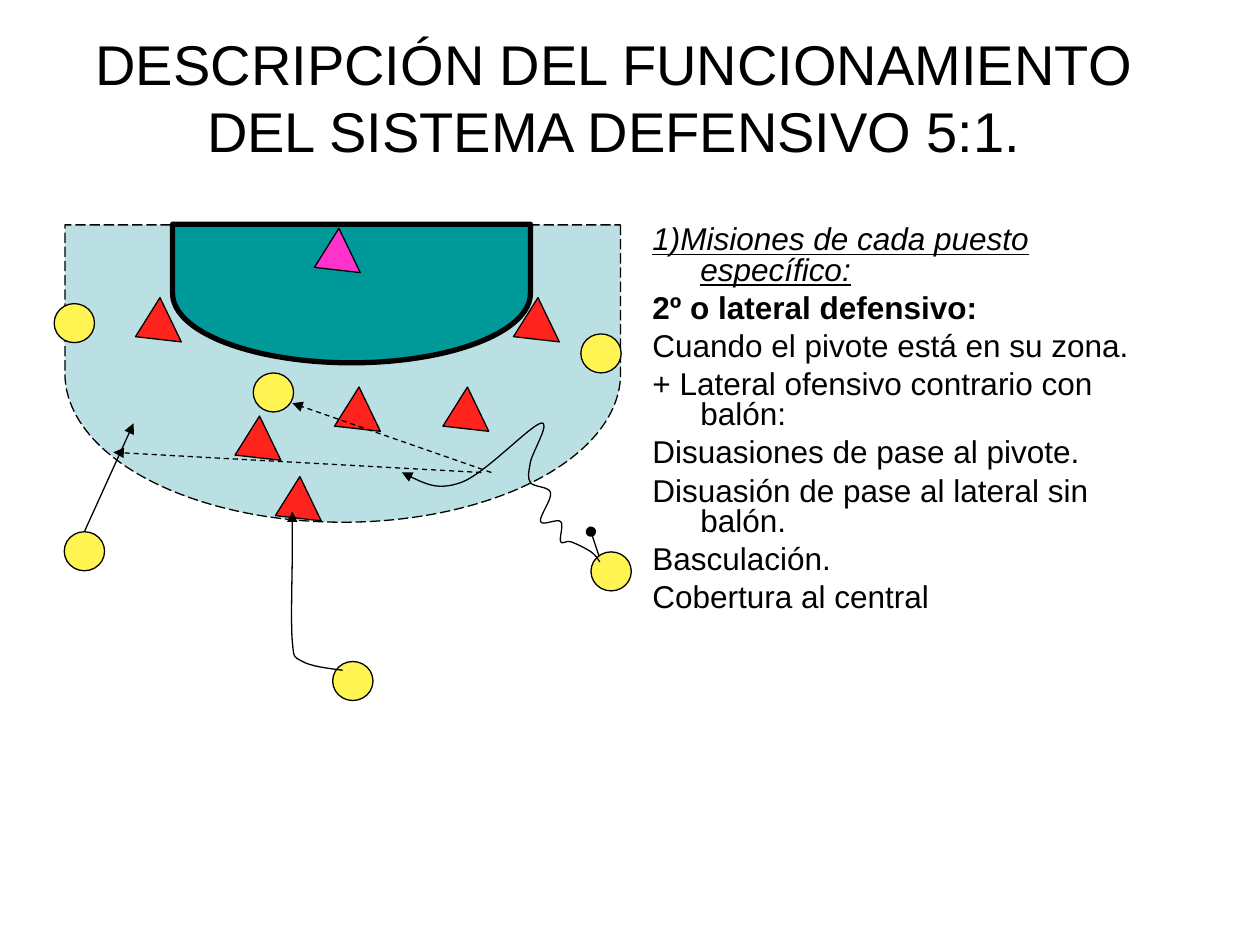
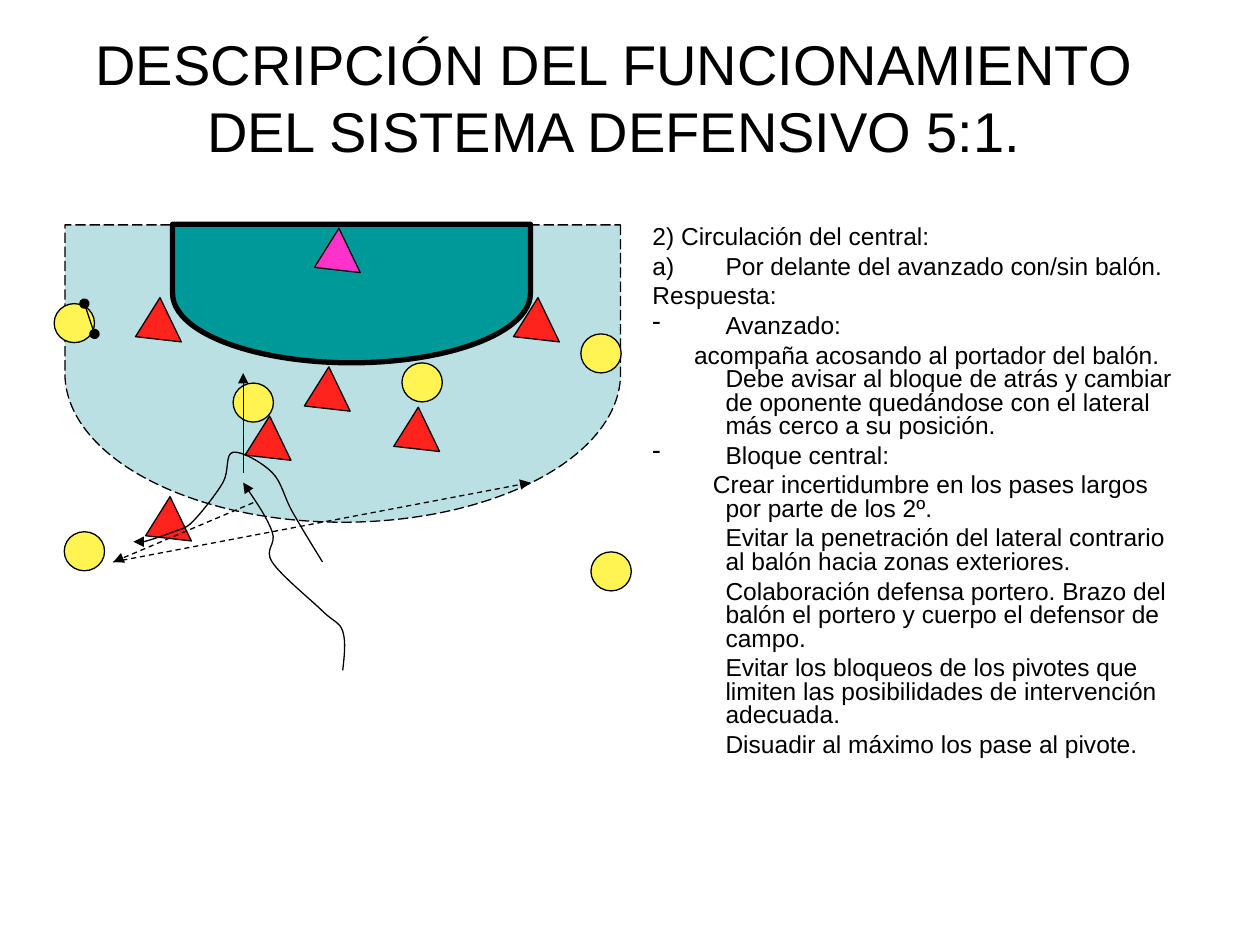
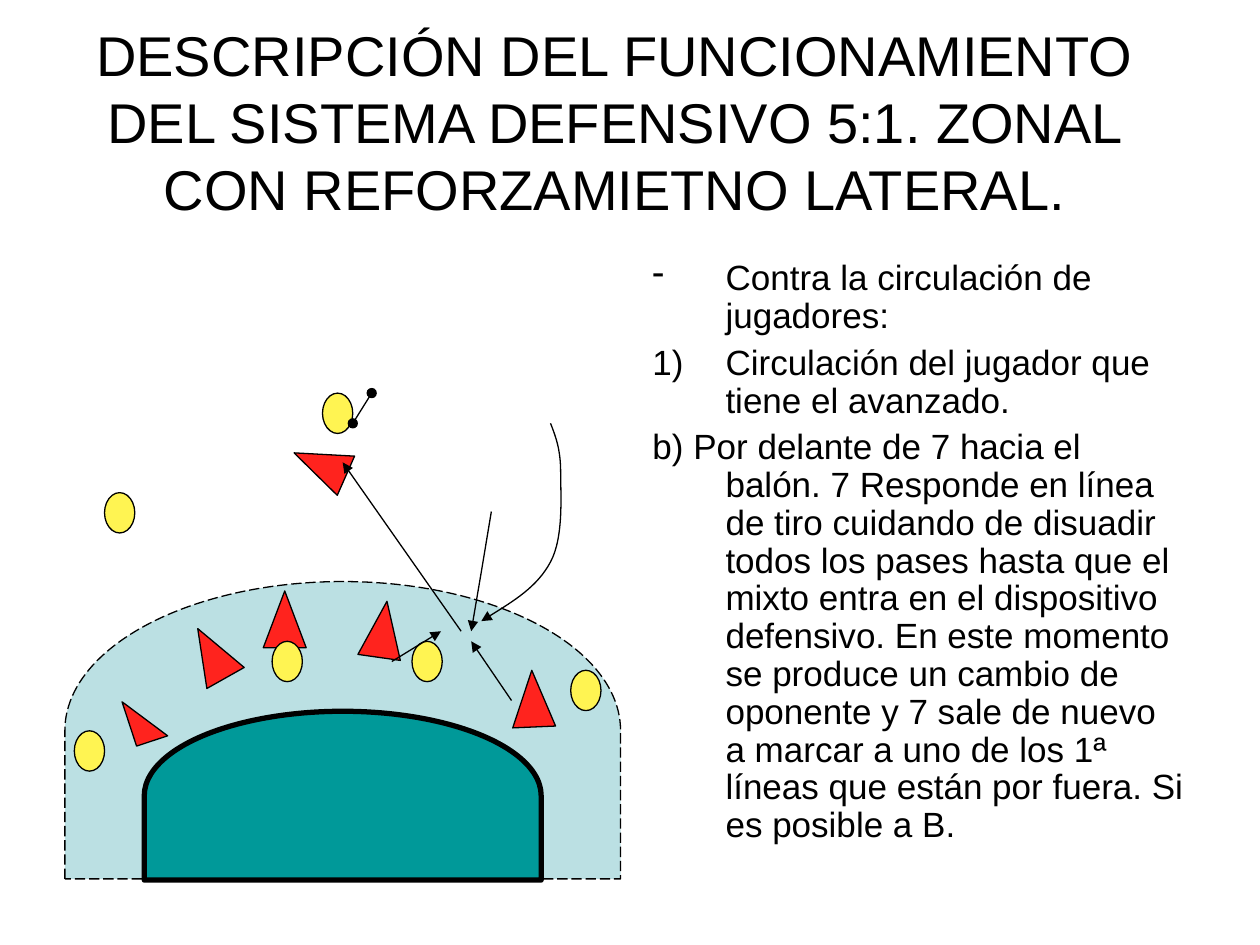
import pptx
import pptx.dml.color
import pptx.enum.dml
import pptx.enum.shapes
import pptx.enum.text
import pptx.oxml
import pptx.oxml.ns
import pptx.util
from lxml import etree

Inches = pptx.util.Inches
Pt = pptx.util.Pt
RGB = pptx.dml.color.RGBColor
Shape = pptx.enum.shapes.MSO_SHAPE
Dash = pptx.enum.dml.MSO_LINE
qn = pptx.oxml.ns.qn

BLACK = RGB(0x00, 0x00, 0x00)
PALE = RGB(0xBB, 0xE0, 0xE3)
TEAL = RGB(0x00, 0x99, 0x99)
RED = RGB(0xFF, 0x23, 0x1E)
PINK = RGB(0xFF, 0x33, 0xCC)
YELLOW = RGB(0xFF, 0xF4, 0x52)

FONT = {"name": "Arial"}
HEAD = "DESCRIPCIÓN DEL FUNCIONAMIENTO DEL SISTEMA DEFENSIVO 5:1."
TURN = 244.3


def put(obj, **vals):
    for key, val in vals.items():
        setattr(obj, key, val)


def ink(run, **vals):
    put(run.font, **FONT, **vals)
    run.font.color.rgb = BLACK


def start(deck, text, x=0.5, w=8.75, h=0.93):
    """Add a slide with its title in place."""
    slide = deck.slides.add_slide(deck.slide_layouts[5])
    title = slide.shapes.title
    put(title, left=Inches(x), top=Inches(0.3), width=Inches(w), height=Inches(h))
    frame = title.text_frame
    frame.text = text
    put(frame, word_wrap=True, auto_size=pptx.enum.text.MSO_AUTO_SIZE.NONE,
        vertical_anchor=pptx.enum.text.MSO_ANCHOR.MIDDLE)
    para = frame.paragraphs[0]
    para.alignment = pptx.enum.text.PP_ALIGN.CENTER
    ink(para.runs[0], size=Pt(32))
    return slide


def bullet(props, mark):
    """Give a paragraph a dash, or a number of the named scheme."""
    if mark == "-":
        etree.SubElement(props, qn("a:buChar")).set("char", mark)
    elif mark:
        etree.SubElement(props, qn("a:buAutoNum")).set("type", mark)
    else:
        etree.SubElement(props, qn("a:buNone"))


def notes(slide, box, rows, size, left, pitch, gap):
    """Write rows of (text, format); first is the first-line indent."""
    area = slide.shapes.add_textbox(*map(Inches, box))
    frame = area.text_frame
    frame.word_wrap = True
    for i, (text, form) in enumerate(rows):
        form = dict(form)
        para = frame.paragraphs[0] if i == 0 else frame.add_paragraph()
        props = para._p.get_or_add_pPr()
        props.set("marL", str(Inches(left)))
        props.set("indent", str(Inches(form.pop("first", -left))))
        bullet(props, form.pop("mark", None))
        put(para, line_spacing=pitch, space_before=Pt(gap if i else 0))
        run = para.add_run()
        run.text = text
        ink(run, size=Pt(size), **form)


def stroke(item, width=0.75, dash=None, head=None, tail=None):
    put(item.line, width=Pt(width), dash_style=dash)
    item.line.color.rgb = BLACK
    line = item.element.spPr.find(qn("a:ln"))
    for tag, kind in (("a:headEnd", head), ("a:tailEnd", tail)):
        if kind:
            etree.SubElement(line, qn(tag)).set("type", kind)


def form(slide, kind, box, fill, turn=0, **line):
    item = slide.shapes.add_shape(kind, *map(Inches, box))
    item.shadow.inherit = False
    item.rotation = turn
    item.fill.solid()
    item.fill.fore_color.rgb = fill
    stroke(item, **line)
    return item


def zone(slide, outer, inner, turn):
    """Draw the dashed outer area and the goal area in it."""
    delay = Shape.FLOWCHART_DELAY
    form(slide, delay, outer, PALE, turn, dash=Dash.LONG_DASH)
    form(slide, delay, inner, TEAL, turn, width=3)


def discs(slide, spots, w=0.32, h=0.31):
    for x, y in spots:
        form(slide, Shape.OVAL, (x, y, w, h), YELLOW)


def guards(slide, spots, fill=RED):
    for x, y in spots:
        form(slide, Shape.ISOSCELES_TRIANGLE, (x, y, 0.39, 0.31), fill, TURN)


def court(slide):
    zone(slide, (1.54, 0.76, 2.36, 4.41), (2.24, 0.91, 1.1, 2.84), 90)


def teams(slide, pivots, block):
    """Place the players who stay put, then those who move."""
    discs(slide, [(0.43, 2.41), (0.51, 4.22), (4.61, 2.65), (4.69, 4.38)] + pivots)
    guards(slide, [(2.44, 1.9)], PINK)
    guards(slide, [(1.02, 2.45), (4.02, 2.45)] + block)


def line(slide, x1, y1, x2, y2, dash=None, head=None, tail="triangle"):
    kind = pptx.enum.shapes.MSO_CONNECTOR.STRAIGHT
    item = slide.shapes.add_connector(kind, *map(Inches, (x1, y1, x2, y2)))
    stroke(item, dash=dash, head=head, tail=tail)
    etree.SubElement(item.element.spPr, qn("a:effectLst"))


def ball(slide, *ends):
    line(slide, *ends, head="oval", tail="oval")


def mid(a, b):
    return [(p + q) / 2 for p, q in zip(a, b)]


def bends(pts):
    """Return the two control points of each span of a smooth curve."""
    into, out = {}, {}
    for i in range(1, len(pts) - 1):
        step = [(b - a) / 6 for a, b in zip(pts[i - 1], pts[i + 1])]
        into[i] = [p - d for p, d in zip(pts[i], step)]
        out[i] = [p + d for p, d in zip(pts[i], step)]
    last = len(pts) - 1
    out[0] = mid(pts[0], into[1])
    into[last] = mid(out[last - 1], pts[last])
    return [(out[i], into[i + 1]) for i in range(last)]


def curve(slide, *knots):
    """Draw a smooth arrow through the knots."""
    pts = [(Inches(x), Inches(y)) for x, y in knots]
    pen = slide.shapes.build_freeform(*pts[0], scale=1.0)
    pen.add_line_segments(pts[1:], close=False)
    item = pen.convert_to_shape()
    item.shadow.inherit = False
    item.fill.background()
    stroke(item, tail="triangle")
    spots = [(int(p.get("x")), int(p.get("y")))
             for p in item.element.spPr.iter(qn("a:pt"))]
    spans = list(item.element.spPr.iter(qn("a:lnTo")))
    for span, pair in zip(spans, bends(spots)):
        bend = etree.Element(qn("a:cubicBezTo"))
        for x, y in pair:
            dot = etree.SubElement(bend, qn("a:pt"))
            dot.set("x", str(round(x)))
            dot.set("y", str(round(y)))
        bend.append(span[0])
        span.getparent().replace(span, bend)


def roles(deck):
    slide = start(deck, HEAD)
    rows = [
        ("1)Misiones de cada puesto específico:", {"italic": True, "underline": True}),
        ("2º o lateral defensivo:", {"bold": True}),
        ("Cuando el pivote está en su zona.", {}),
        ("+ Lateral ofensivo contrario con balón:", {}),
        ("Disuasiones de pase al pivote.", {}),
        ("Disuasión de pase al lateral sin balón.", {}),
        ("Basculación.", {}),
        ("Cobertura al central", {}),
    ]
    notes(slide, (5.08, 1.75, 4.33, 3.34), rows, 18, 0.38, 0.8, 4.5)
    court(slide)
    ball(slide, 4.69, 4.22, 4.77, 4.46)
    teams(slide, [(2.01, 2.96), (2.64, 5.25)],
          [(1.81, 3.39), (2.6, 3.16), (2.13, 3.87), (3.46, 3.16)])
    curve(slide, (4.76, 4.46), (4.69, 4.38), (4.53, 4.3), (4.45, 4.3),
          (4.45, 4.14), (4.29, 4.14), (4.37, 3.91), (4.21, 3.83),
          (4.21, 3.67), (4.29, 3.36), (3.66, 3.83), (3.19, 3.75))
    curve(slide, (2.72, 5.32), (2.4, 5.25), (2.32, 5.09), (2.32, 4.38), (2.32, 4.06))
    line(slide, 3.9, 3.75, 2.32, 3.2, dash=Dash.DASH)
    line(slide, 3.82, 3.75, 0.9, 3.59, dash=Dash.DASH)
    line(slide, 0.67, 4.22, 1.06, 3.36)


def centre(deck):
    slide = start(deck, HEAD)
    rows = [
        ("2) Circulación del central:", {}),
        ("Por delante del avanzado con/sin balón.", {"mark": "alphaLcParenR"}),
        ("Respuesta:", {}),
        ("Avanzado:", {"mark": "-"}),
        ("acompaña acosando al portador del balón. Debe avisar al bloque de atrás "
         "y cambiar de oponente quedándose con el lateral más cerco a su posición.",
         {"first": -0.25}),
        ("Bloque central:", {"mark": "-"}),
        ("Crear incertidumbre en los pases largos por parte de los 2º.",
         {"first": -0.1}),
        ("Evitar la penetración del lateral contrario al balón hacia zonas "
         "exteriores.", {"first": 0}),
        ("Colaboración defensa portero. Brazo del balón el portero y cuerpo el "
         "defensor de campo.", {"first": 0}),
        ("Evitar los bloqueos de los pivotes que limiten las posibilidades de "
         "intervención adecuada.", {"first": 0}),
        ("Disuadir al máximo los pase al pivote.", {"first": 0}),
    ]
    notes(slide, (5.08, 1.75, 4.42, 4.95), rows, 14, 0.58, 0.8, 3.5)
    court(slide)
    teams(slide, [(3.19, 2.88), (1.85, 3.04)],
          [(1.89, 3.39), (2.36, 3), (1.1, 4.03), (3.07, 3.32)])
    ball(slide, 0.67, 2.41, 0.75, 2.65)
    curve(slide, (2.72, 5.32), (2.72, 5.01), (2.56, 4.85), (2.16, 4.46),
          (2.16, 4.22), (1.93, 3.83))
    line(slide, 1.93, 3.75, 1.93, 2.96)
    curve(slide, (2.56, 4.46), (2.32, 4.06), (2.16, 3.75), (1.85, 3.59),
          (1.77, 3.83), (1.53, 4.14), (1.38, 4.22), (1.14, 4.3), (1.06, 4.3))
    line(slide, 2.01, 3.99, 0.9, 4.46, dash=Dash.DASH)
    line(slide, 0.9, 4.46, 4.21, 3.83, dash=Dash.DASH)


def zonal(deck):
    slide = start(deck, HEAD + " ZONAL CON REFORZAMIETNO LATERAL.", 0.51, 8.74, 1.32)
    rows = [
        ("Contra la circulación de jugadores:", {"mark": "-"}),
        ("Circulación del jugador que tiene el avanzado.", {"mark": "arabicParenR"}),
        ("b) Por delante de 7 hacia el balón. 7 Responde en línea de tiro cuidando "
         "de disuadir todos los pases hasta que el mixto entra en el dispositivo "
         "defensivo. En este momento se produce un cambio de oponente y 7 sale de "
         "nuevo a marcar a uno de los 1ª líneas que están por fuera. Si es posible "
         "a B.", {}),
    ]
    notes(slide, (5.08, 2.02, 4.42, 4.96), rows, 20, 0.58, 0.9, 5)
    zone(slide, (1.54, 3.59, 2.36, 4.41), (2.05, 4.74, 1.34, 3.15), 270)
    peak = Shape.ISOSCELES_TRIANGLE
    for x, y, turn in ((4.06, 5.32, 357.6), (2.37, 3.46, 293.8), (2.87, 4.77, 8),
                       (2.09, 4.69, 0), (1.51, 4.96, 330.6)):
        form(slide, peak, (x, y, 0.34, 0.45), RED, turn)
    wing = form(slide, peak, (1.02, 5.52, 0.26, 0.37), RED, 341.8)
    wing.adjustments[0] = 0
    discs(slide, [(2.56, 3.12), (4.53, 5.32), (3.27, 5.09), (2.16, 5.09),
                  (0.59, 5.8), (0.83, 3.91)], 0.24, 0.32)
    ball(slide, 2.8, 3.36, 2.95, 3.12)
    curve(slide, (4.37, 3.36), (4.45, 3.75), (4.37, 4.46), (3.82, 4.93))
    curve(slide, (3.9, 4.06), (3.82, 4.54), (3.74, 5.01))
    for ends in ((4.06, 5.56, 3.74, 5.09), (3.66, 5.01, 2.72, 3.67),
                 (3.11, 5.25, 3.5, 5.01)):
        line(slide, *ends)


def main():
    deck = pptx.Presentation()
    put(deck, slide_width=Inches(10), slide_height=Inches(7.5))
    roles(deck)
    centre(deck)
    zonal(deck)
    deck.save("out.pptx")


if __name__ == "__main__":
    main()
